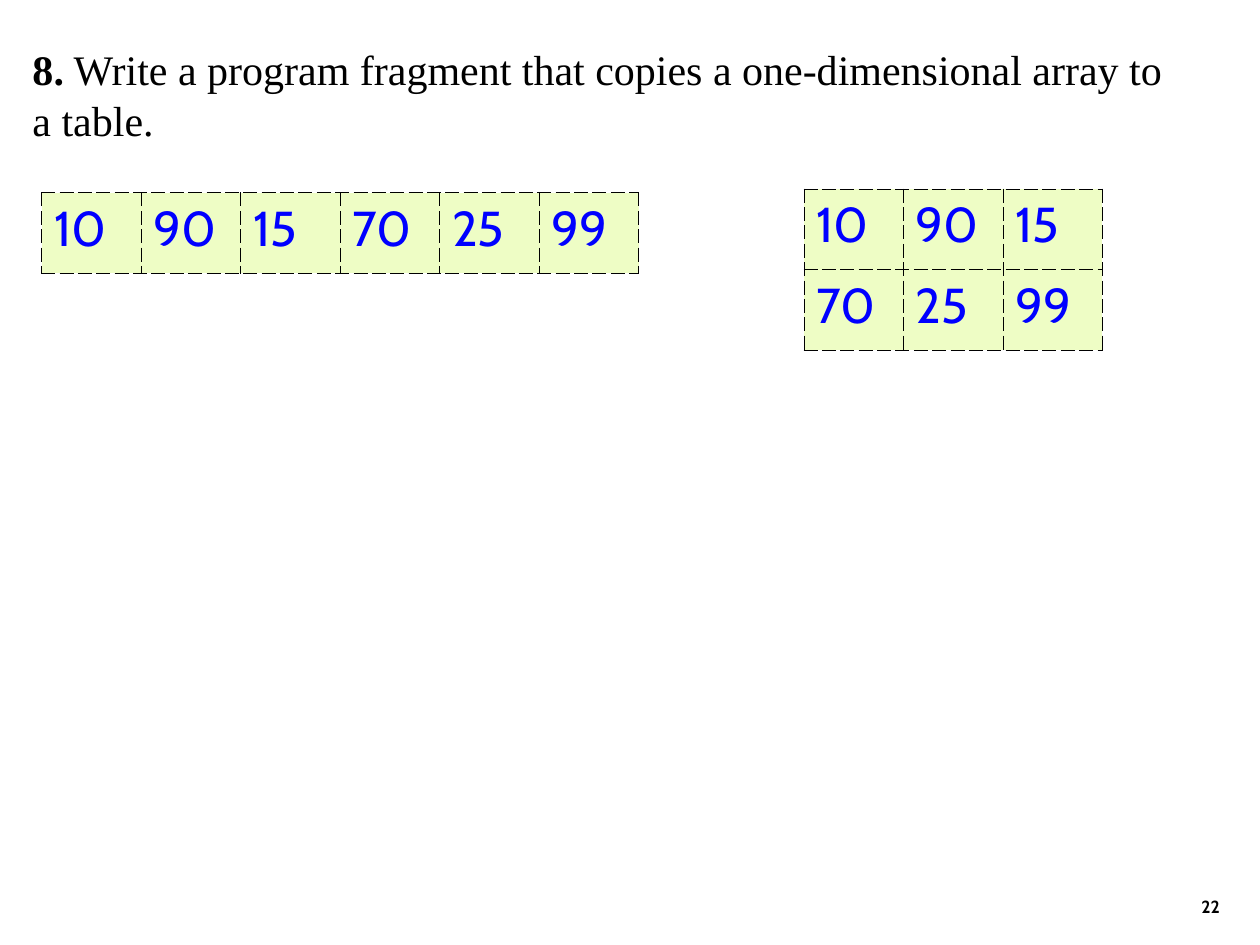
from dataclasses import dataclass

from lxml.etree import SubElement
from pptx import Presentation
from pptx.dml.color import RGBColor
from pptx.enum.text import MSO_ANCHOR, MSO_AUTO_SIZE, PP_ALIGN
from pptx.oxml.ns import qn
from pptx.util import Inches, Pt


@dataclass(frozen=True)
class Theme:
    """Colours, fonts and sizes of the slide."""
    ink: str = "000000"
    value: str = "0000FF"
    cell: str = "EEFDC5"
    serif: str = "Times New Roman"
    sans: str = "Cabin"
    task_size: float = 24
    value_size: float = 28
    number_size: float = 10
    border: float = 0.45


THEME = Theme()
CELL_SIDE = (0.79, 0.64)
VALUES = [10, 90, 15, 70, 25, 99]


def style(run, face, size, color, bold=False):
    """Set the look of one run."""
    run.font.name = face
    run.font.size = Pt(size)
    run.font.bold = bold
    run.font.color.rgb = RGBColor.from_string(color)


def add_task(slide, left, top, width, height):
    """Place the numbered task in two lines."""
    frame = slide.shapes.add_textbox(*map(Inches, (left, top, width, height))).text_frame
    frame.word_wrap = False
    frame.auto_size = MSO_AUTO_SIZE.SHAPE_TO_FIT_TEXT
    lines = [
        [("8.", True), (" Write a program fragment that copies a one-dimensional array to", False)],
        [("a table.", False)],
    ]
    for index, pieces in enumerate(lines):
        line = frame.add_paragraph() if index else frame.paragraphs[0]
        for words, bold in pieces:
            run = line.add_run()
            run.text = words
            style(run, THEME.serif, THEME.task_size, THEME.ink, bold)


def add_dashed_border(cell):
    """Give a cell thin dashed lines on all sides."""
    properties = cell._tc.get_or_add_tcPr()
    for side in ("a:lnL", "a:lnR", "a:lnT", "a:lnB"):
        line = SubElement(properties, qn(side), w=str(Pt(THEME.border)))
        fill = SubElement(line, qn("a:solidFill"))
        SubElement(fill, qn("a:srgbClr"), val=THEME.ink)
        SubElement(line, qn("a:prstDash"), val="dash")


def add_array(slide, left, top, columns):
    """Lay the values out row by row in a table with the given columns."""
    rows = len(VALUES) // columns
    cell_width, cell_height = CELL_SIDE
    box = (left, top, cell_width * columns, cell_height * rows)
    table = slide.shapes.add_table(rows, columns, *map(Inches, box)).table
    table.first_row = table.horz_banding = False
    for cell, value in zip(table.iter_cells(), VALUES):
        add_dashed_border(cell)
        cell.fill.solid()
        cell.fill.fore_color.rgb = RGBColor.from_string(THEME.cell)
        cell.text_frame.text = str(value)
        style(cell.text_frame.paragraphs[0].runs[0], THEME.sans, THEME.value_size, THEME.value)


def add_page_number(slide, left, top, width, height):
    """Place the page number at the bottom right."""
    frame = slide.shapes.add_textbox(*map(Inches, (left, top, width, height))).text_frame
    frame.word_wrap = True
    frame.vertical_anchor = MSO_ANCHOR.BOTTOM
    frame.text = "22"
    number = frame.paragraphs[0]
    number.alignment = PP_ALIGN.RIGHT
    style(number.runs[0], THEME.sans, THEME.number_size, THEME.ink, True)


def main():
    """Build and save the slide."""
    presentation = Presentation()
    presentation.slide_width = Inches(10)
    presentation.slide_height = Inches(7.5)
    slide = presentation.slides.add_slide(presentation.slide_layouts[6])
    add_page_number(slide, 7.7, 6.83, 2.08, 0.5)
    add_task(slide, 0.16, 0.3, 9.27, 0.9)
    add_array(slide, 0.33, 1.53, columns=6)
    add_array(slide, 6.38, 1.5, columns=3)
    presentation.save("out.pptx")


if __name__ == "__main__":
    main()
